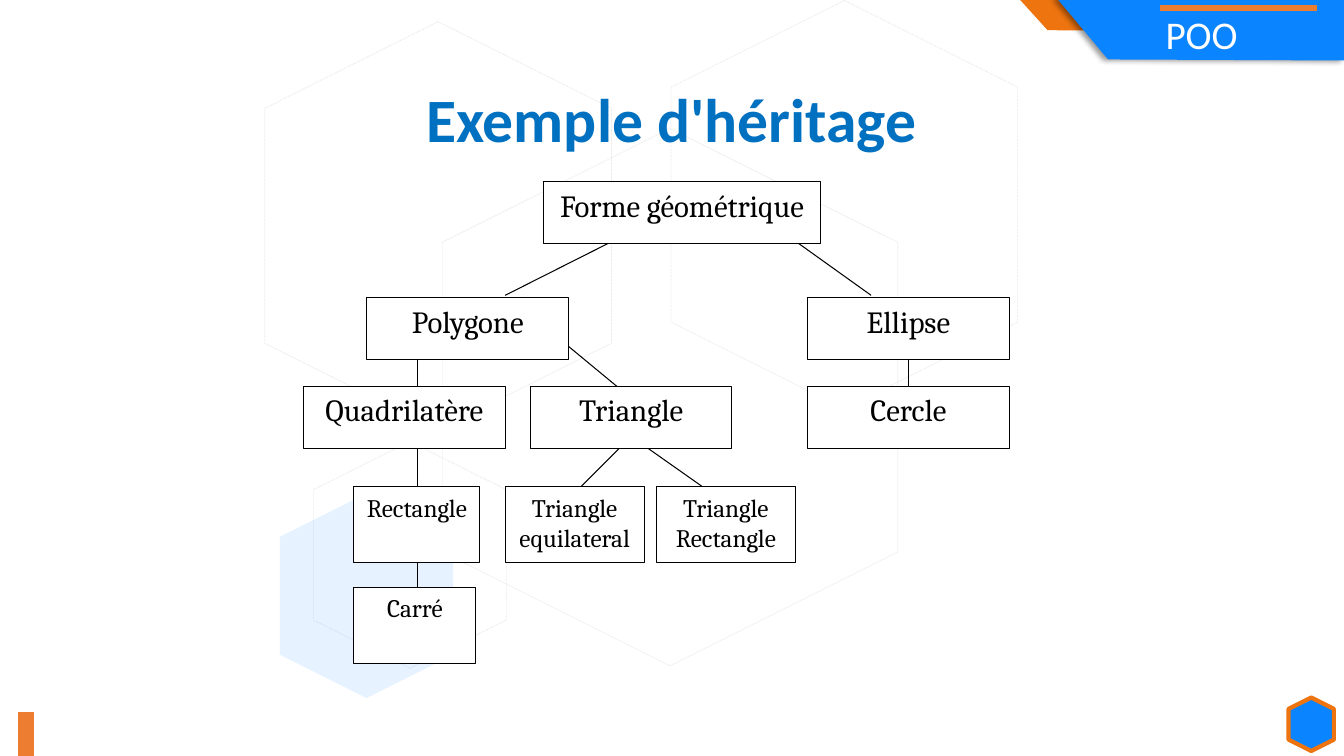
import pptx
import pptx.dml.color
import pptx.enum.dml
import pptx.enum.shapes
import pptx.enum.text
import pptx.oxml
import pptx.oxml.ns
import pptx.util
from pptx.util import Inches

BLACK, WHITE = "000000", "FFFFFF"
BLUE, TITLE_BLUE = "0B84FF", "0070C0"
ORANGE, BRIGHT_ORANGE = "ED7D31", "EE740F"
SHAPES = pptx.enum.shapes.MSO_SHAPE
DOTTED = pptx.enum.dml.MSO_LINE.ROUND_DOT
CENTER = pptx.enum.text.PP_ALIGN.CENTER
LEFT = pptx.enum.text.PP_ALIGN.LEFT
MIDDLE = pptx.enum.text.MSO_ANCHOR.MIDDLE
TOP = pptx.enum.text.MSO_ANCHOR.TOP

# left, top, width, height, line width, dash
OUTLINE_HEXAGONS = [
    (3.98, 1.68, 5.33, 4.52, 0.25, None),
    (6.35, 0.31, 4.05, 3.44, 0.5, DOTTED),
    (2.94, 4.55, 2.25, 1.91, 0.5, DOTTED),
    (2.32, 0.52, 4.05, 3.44, 0.5, DOTTED),
]

INHERITANCE_LINES = [
    ((8.64, 2.93), (7.76, 2.3)),
    ((5.01, 2.93), (6.26, 2.3)),
    ((6.26, 3.95), (5.51, 3.33)),
    ((6.26, 4.33), (5.64, 4.95)),
    ((6.26, 4.33), (7.14, 4.95)),
    ((9.01, 4.33), (9.01, 3.33)),
    ((4.14, 6.2), (4.14, 3.45)),
]

# top, height, text size, then (name, left, width) for each class
CLASS_ROWS = [
    (1.8, 0.62, 22, [("Forme géométrique", 5.39, 2.75)]),
    (2.95, 0.62, 22, [("Polygone", 3.64, 2), ("Ellipse", 8.01, 2)]),
    (3.83, 0.62, 22, [("Quadrilatère", 3.01, 2), ("Triangle", 5.26, 2),
                      ("Cercle", 8.01, 2)]),
    (4.83, 0.75, 18, [("Rectangle", 3.51, 1.25),
                      ("Triangle\nequilateral", 5.01, 1.38),
                      ("Triangle\nRectangle", 6.51, 1.38)]),
    (5.83, 0.75, 18, [("Carré", 3.51, 1.21)]),
]


def rgb(color):
    return pptx.dml.color.RGBColor.from_string(color)


def set_opacity(fill, percent):
    """Add an alpha value to the colour of a solid fill."""
    color = fill._xPr.find(".//" + pptx.oxml.ns.qn("a:srgbClr"))
    alpha = pptx.oxml.parse_xml(
        f'<a:alpha {pptx.oxml.ns.nsdecls("a")} val="{percent * 1000}"/>')
    color.append(alpha)


def style_shape(shape, fill=None, line=None, line_width=0.75):
    shape.shadow.inherit = False
    if fill:
        shape.fill.solid()
        shape.fill.fore_color.rgb = rgb(fill)
    else:
        shape.fill.background()
    if line:
        shape.line.color.rgb = rgb(line)
        shape.line.width = pptx.util.Pt(line_width)
    else:
        shape.line.fill.background()


def write(shape, text, font, size, color, bold=False, align=CENTER, anchor=TOP,
          spacing=1.0):
    frame = shape.text_frame
    frame.word_wrap = True
    frame.vertical_anchor = anchor
    frame.text = text
    for para in frame.paragraphs:
        para.alignment = align
        para.line_spacing = spacing
        for span in para.runs:
            span.font.name = font
            span.font.size = pptx.util.Pt(size)
            span.font.bold = bold
            span.font.color.rgb = rgb(color)


def add_hexagon(page, left, top, width, height, rotation, **style):
    hexagon = page.shapes.add_shape(SHAPES.HEXAGON, Inches(left), Inches(top),
                                    Inches(width), Inches(height))
    hexagon.rotation = rotation
    style_shape(hexagon, **style)
    return hexagon


def add_line(page, start, end, color=BLACK, line_width=0.75):
    line = page.shapes.add_connector(
        pptx.enum.shapes.MSO_CONNECTOR.STRAIGHT,
        *(Inches(value) for value in (*start, *end)))
    line.line.color.rgb = rgb(color)
    line.line.width = pptx.util.Pt(line_width)
    line._element.spPr.append(pptx.oxml.parse_xml(
        f'<a:effectLst {pptx.oxml.ns.nsdecls("a")}/>'))


def add_polygon(page, points, fill):
    corners = [(Inches(x), Inches(y)) for x, y in points]
    builder = page.shapes.build_freeform(*corners[0])
    builder.add_line_segments(corners[1:], close=True)
    polygon = builder.convert_to_shape()
    style_shape(polygon, fill)
    return polygon


def add_shadow(shape):
    """Cast a soft black shadow to the left of the shape."""
    effects = shape._element.spPr.find(pptx.oxml.ns.qn("a:effectLst"))
    effects.append(pptx.oxml.parse_xml(
        f'<a:outerShdw {pptx.oxml.ns.nsdecls("a")} blurRad="{pptx.util.Pt(4)}" '
        f'dist="{pptx.util.Pt(3)}" dir="10800000" rotWithShape="0">'
        '<a:srgbClr val="000000"><a:alpha val="40000"/></a:srgbClr>'
        '</a:outerShdw>'))


def add_background(page):
    for *place, line_width, dash in OUTLINE_HEXAGONS:
        hexagon = add_hexagon(page, *place, 90, line=BLACK,
                              line_width=line_width)
        set_opacity(hexagon.line.fill, 10)
        if dash:
            hexagon.line.dash_style = dash
    tinted = add_hexagon(page, 2.62, 5.05, 2.03, 1.72, 270, fill=BLUE)
    set_opacity(tinted.fill, 10)
    add_line(page, (0.26, 7.06), (0.26, 7.5), ORANGE, 11)
    add_hexagon(page, 12.74, 6.96, 0.53, 0.45, 270,
                fill=BLUE, line=BRIGHT_ORANGE, line_width=3)


def add_ribbon(page):
    add_polygon(page, [(10.1, -0.02), (11.5, -0.02), (11.51, 0.31),
                       (10.39, 0.3)], BRIGHT_ORANGE)
    ribbon = add_polygon(page, [(10.48, -0.02), (13.33, -0.01), (13.33, 0.6),
                                (10.99, 0.59)], BLUE)
    add_shadow(ribbon)
    write(ribbon, "POO", "Calibri", 28, WHITE, align=LEFT, anchor=MIDDLE,
          spacing=1.2)
    ribbon.text_frame.margin_left = Inches(1.08)
    ribbon.text_frame.paragraphs[0].space_before = pptx.util.Pt(2)
    add_line(page, (11.51, 0.08), (13.06, 0.08), ORANGE, 4.5)


def add_title(page, text):
    box = page.shapes.add_textbox(Inches(1.52), Inches(0.73),
                                  Inches(10.28), Inches(0.97))
    write(box, text, "Calibri", 44, TITLE_BLUE, bold=True, anchor=MIDDLE,
          spacing=0.9)


def add_class_box(page, name, left, top, width, height, size):
    box = page.shapes.add_shape(SHAPES.RECTANGLE, Inches(left), Inches(top),
                                Inches(width), Inches(height))
    style_shape(box, WHITE, BLACK)
    write(box, name, "Cambria", size, BLACK)


def main():
    deck = pptx.Presentation()
    deck.slide_width, deck.slide_height = Inches(13.33), Inches(7.5)
    page = deck.slides.add_slide(deck.slide_layouts[6])
    add_background(page)
    add_ribbon(page)
    add_title(page, "Exemple d'héritage")
    for start, end in INHERITANCE_LINES:
        add_line(page, start, end)
    for top, height, size, classes in CLASS_ROWS:
        for name, left, width in classes:
            add_class_box(page, name, left, top, width, height, size)
    deck.save("out.pptx")


if __name__ == "__main__":
    main()
